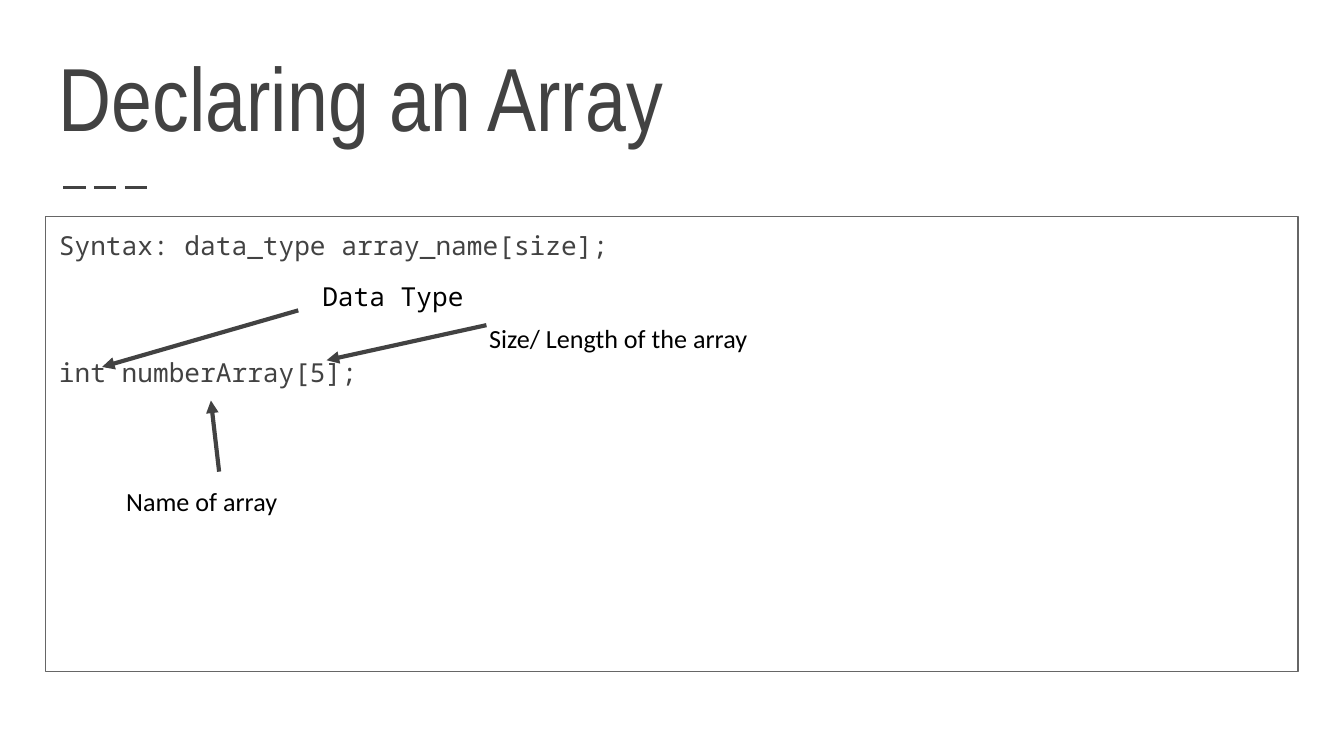
from dataclasses import dataclass

from lxml.etree import SubElement
from pptx import Presentation
from pptx.dml.color import RGBColor
from pptx.enum.dml import MSO_LINE_DASH_STYLE as Dash
from pptx.enum.shapes import MSO_CONNECTOR as Connector, MSO_SHAPE as Shape
from pptx.enum.text import MSO_ANCHOR as Anchor, PP_ALIGN as Align
from pptx.oxml.ns import qn
from pptx.slide import Slide
from pptx.util import Pt

CHARCOAL = RGBColor(0x42, 0x42, 0x42)
GREY = RGBColor(0x66, 0x66, 0x66)
BLACK = RGBColor(0, 0, 0)

TITLE_FONT, LABEL_FONT, CODE_FONT = "Arial Narrow", "Calibri", "Noto Sans Mono"
LEFT, WIDTH = 24.5, 671


def apply(target, values):
    for name, value in values.items():
        setattr(target, name, value)


@dataclass
class SlideBuilder:
    slide: Slide
    inset: float = 7.2
    text_size: float = 14

    def fill_text(self, shape, lines, font, color, size=None, anchor=Anchor.TOP, **spacing):
        frame = shape.text_frame
        sides = ("left", "top", "right", "bottom")
        apply(frame, {f"margin_{side}": Pt(self.inset) for side in sides})
        apply(frame, {"word_wrap": True, "vertical_anchor": anchor})
        for number, line in enumerate(lines):
            paragraph = frame.add_paragraph() if number else frame.paragraphs[0]
            paragraph.alignment = Align.LEFT
            if number:
                apply(paragraph, spacing)
            run = paragraph.add_run()
            run.text = line
            apply(run.font, {"name": font, "size": Pt(size or self.text_size)})
            run.font.color.rgb = color

    def text(self, box, line, font, color=BLACK, **style):
        shape = self.slide.shapes.add_textbox(*map(Pt, box))
        self.fill_text(shape, [line], font, color, **style)

    def panel(self, box, lines, **spacing):
        shape = self.slide.shapes.add_shape(Shape.RECTANGLE, *map(Pt, box))
        shape.shadow.inherit = False
        shape.fill.background()
        shape.line.color.rgb = GREY
        shape.line.width = Pt(0.75)
        self.fill_text(shape, lines, CODE_FONT, CHARCOAL, **spacing)

    def line(self, start, end, width, dash=None, arrow=False):
        connector = self.slide.shapes.add_connector(
            Connector.STRAIGHT, *map(Pt, (*start, *end)))
        connector.line.color.rgb = CHARCOAL
        apply(connector.line, {"width": Pt(width), "dash_style": dash})
        properties = connector.element.spPr
        if arrow:
            SubElement(properties.find(qn("a:ln")), qn("a:tailEnd"), type="triangle")
        SubElement(properties, qn("a:effectLst"))


def main():
    presentation = Presentation()
    apply(presentation, {"slide_width": Pt(720), "slide_height": Pt(405)})
    builder = SlideBuilder(presentation.slides.add_slide(presentation.slide_layouts[6]))

    # Title with its dashed rule
    builder.line((33.8, 100.3), (82, 100.3), 1.5, dash=Dash.LONG_DASH)
    builder.text((LEFT, 29.5, WIDTH, 57.6), "Declaring an Array", TITLE_FONT,
                 CHARCOAL, size=48, anchor=Anchor.BOTTOM)

    # Code panel
    builder.panel((LEFT, 115.9, WIDTH, 244),
                  ["Syntax: data_type array_name[size];", "int numberArray[5];"],
                  space_before=Pt(51))

    # Labels, each with an arrow to its part of the declaration
    callouts = [
        ("Size/ Length of the array", LABEL_FONT, (254.9, 165.6, 170, 36.7),
         (260.6, 174.2), (175, 193)),
        ("Name of array", LABEL_FONT, (60.5, 252.7, 114.5, 30.2),
         (117.4, 252.7), (113, 214.6)),
        ("Data Type", CODE_FONT, (165.6, 143.3, 105.8, 31),
         (159.8, 166.3), (54.7, 196.6)),
    ]
    for label, font, box, start, end in callouts:
        builder.text(box, label, font)
        builder.line(start, end, 2.25, arrow=True)

    presentation.save("out.pptx")


if __name__ == "__main__":
    main()
